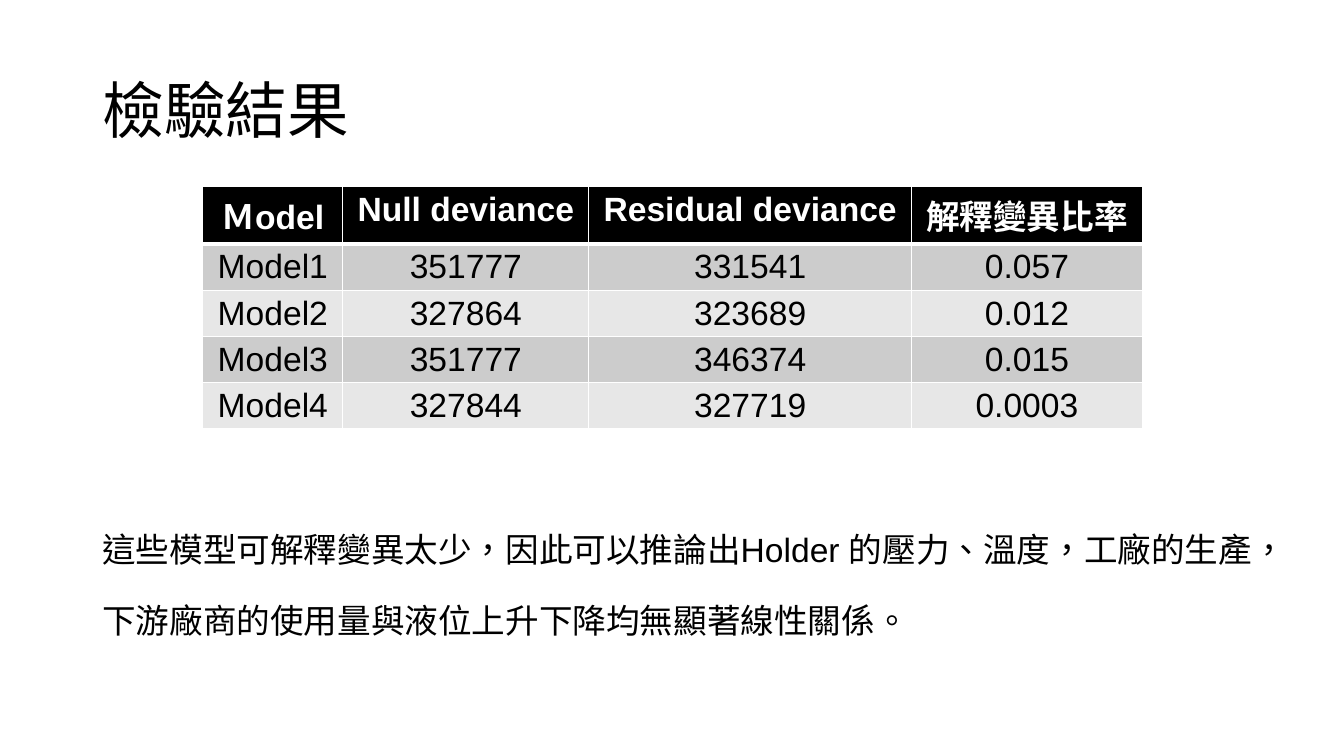
from dataclasses import dataclass

from lxml import etree
from pptx import Presentation
from pptx.dml.color import RGBColor
from pptx.enum.lang import MSO_LANGUAGE_ID
from pptx.enum.text import MSO_ANCHOR, PP_ALIGN
from pptx.oxml.ns import qn
from pptx.slide import Slide
from pptx.table import _Cell
from pptx.util import Cm, Pt

LEFT, CENTER = PP_ALIGN.LEFT, PP_ALIGN.CENTER
MIDDLE = MSO_ANCHOR.MIDDLE
CHINESE = MSO_LANGUAGE_ID.TRADITIONAL_CHINESE
TITLE_ONLY = 5
COLORS = {"black": "000000", "white": "FFFFFF", "dark": "CCCCCC", "light": "E7E7E7"}


@dataclass
class Column:
    """A table column: heading, width in centimetres and values."""

    heading: str
    width: float
    values: list[str]


COLUMNS = [
    Column("Ｍodel", 3.53, ["Model1", "Model2", "Model3", "Model4"]),
    Column("Null deviance", 6.2, ["351777", "327864", "351777", "327844"]),
    Column("Residual deviance", 8.13, ["331541", "323689", "346374", "327719"]),
    Column("解釋變異比率", 5.82, ["0.057", "0.012", "0.015", "0.0003"]),
]
CONCLUSION = [
    "這些模型可解釋變異太少，因此可以推論出Holder 的壓力、溫度，工廠的生產，",
    "下游廠商的使用量與液位上升下降均無顯著線性關係。",
]


def write(para, text: str, *, size: float = 24, color: str = "black",
          bold: bool = False, align=LEFT) -> None:
    """Add formatted text to a paragraph."""
    para.alignment = align
    span = para.add_run()
    span.text = text
    span.font.name = "Arial"
    span.font.size = Pt(size)
    span.font.bold = bold
    span.font.color.rgb = RGBColor.from_string(COLORS[color])
    span.font.language_id = CHINESE


def set_borders(cell: _Cell, bottom: float) -> None:
    """Give a cell white borders, placed ahead of its fill."""
    properties = cell._tc.get_or_add_tcPr()
    widths = {"a:lnL": 1, "a:lnR": 1, "a:lnT": 1, "a:lnB": bottom}
    for index, (tag, width) in enumerate(widths.items()):
        line = etree.Element(qn(tag), w=str(Pt(width)))
        fill = etree.SubElement(line, qn("a:solidFill"))
        etree.SubElement(fill, qn("a:srgbClr"), val=COLORS["white"])
        properties.insert(index, line)


def fill_cell(cell: _Cell, text: str, row: int) -> None:
    """Write and style one table cell according to its row."""
    header = row == 0
    fill = "black" if header else ("dark" if row % 2 else "light")
    cell.fill.solid()
    cell.fill.fore_color.rgb = RGBColor.from_string(COLORS[fill])
    cell.margin_top = cell.margin_bottom = Cm(0.11)
    write(cell.text_frame.paragraphs[0], text, bold=header, align=CENTER,
          color="white" if header else "black")
    set_borders(cell, bottom=3 if header else 1)


def add_title(page: Slide, text: str) -> None:
    """Place the title in the title placeholder."""
    title = page.shapes.title
    title.left, title.top, title.width, title.height = Cm(2.33), Cm(1.01), Cm(29.21), Cm(3.68)
    title.text_frame.vertical_anchor = MIDDLE
    para = title.text_frame.paragraphs[0]
    para.line_spacing = 0.9
    write(para, text, size=44)


def add_results(page: Slide) -> None:
    """Add the table of model deviances."""
    row_count = len(COLUMNS[0].values) + 1
    width = sum(column.width for column in COLUMNS)
    table = page.shapes.add_table(row_count, len(COLUMNS), Cm(5.11), Cm(4.7),
                                  Cm(width), Cm(1.04 * row_count)).table
    for index, column in enumerate(COLUMNS):
        table.columns[index].width = Cm(column.width)
        for row, text in enumerate([column.heading, *column.values]):
            fill_cell(table.cell(row, index), text, row)


def add_conclusion(page: Slide) -> None:
    """Add the two spaced lines below the table."""
    box = page.shapes.add_textbox(Cm(2.33), Cm(13.2), Cm(30.63), Cm(3.4))
    frame = box.text_frame
    frame.word_wrap = False
    for index, text in enumerate(CONCLUSION):
        para = frame.add_paragraph() if index else frame.paragraphs[0]
        para.space_before = Pt(22 if index else 0)
        write(para, text)


deck = Presentation()
deck.slide_width, deck.slide_height = Cm(33.87), Cm(19.05)
page = deck.slides.add_slide(deck.slide_layouts[TITLE_ONLY])
add_title(page, "檢驗結果")
add_results(page)
add_conclusion(page)
deck.save("out.pptx")
